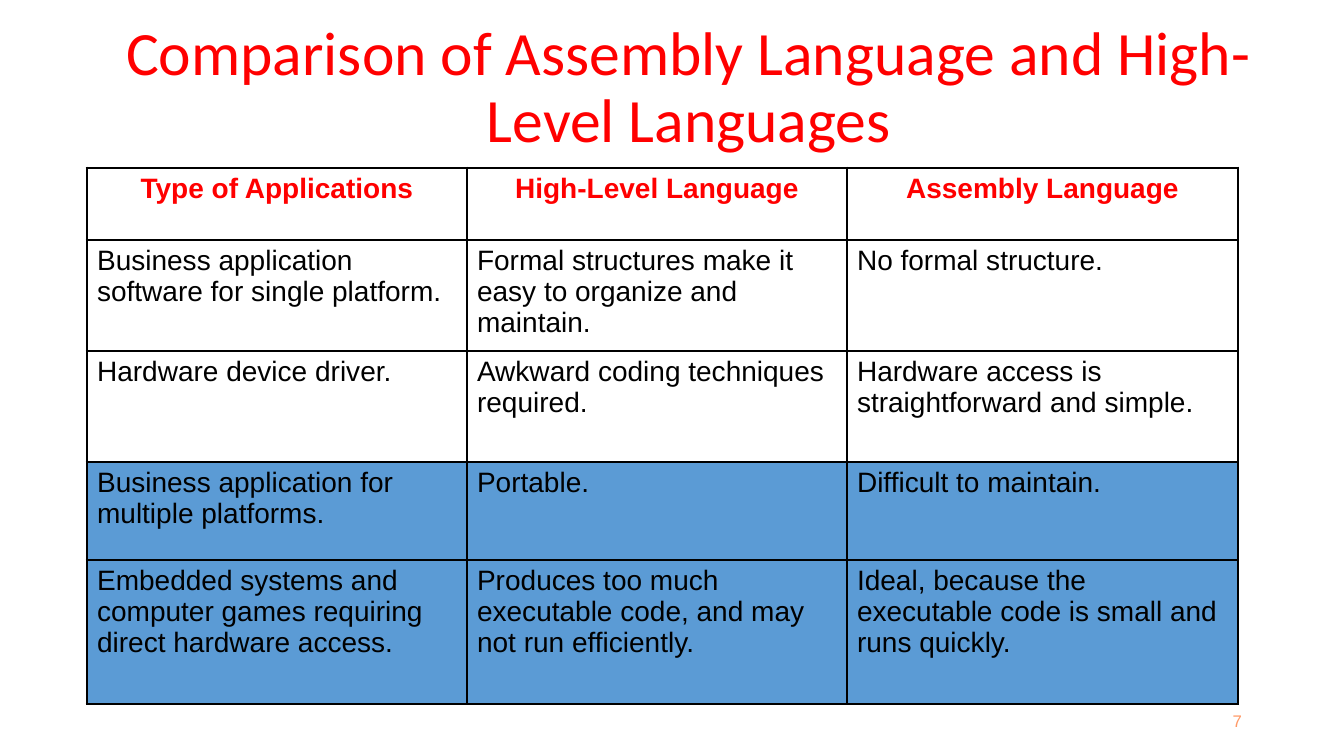
import pptx
import pptx.util
import pptx.dml.color
import pptx.enum.text
import lxml.etree

TITLE = "Comparison of Assembly Language and High-Level Languages"
PAGE_NUMBER = "7"
ROWS = [
    ("Type of Applications", "High-Level Language", "Assembly Language"),
    ("Business application software for single platform.",
     "Formal structures make it easy to organize and maintain.",
     "No formal structure."),
    ("Hardware device driver.",
     "Awkward coding techniques required.",
     "Hardware access is straightforward and simple."),
    ("Business application for multiple platforms.",
     "Portable.",
     "Difficult to maintain."),
    ("Embedded systems and computer games requiring direct hardware access.",
     "Produces too much executable code, and may not run efficiently.",
     "Ideal, because the executable code is small and runs quickly."),
]
COLORS = {"red": "FF0000", "black": "000000", "blue": "5B9BD5", "orange": "FF9966"}

# Lengths in px
SLIDE_SIZE = (1344, 756)
TITLE_BOX = (68, 36, 1242, 106)
NUMBER_BOX = (950, 701, 302, 40)
TABLE_ORIGIN = (87, 168)
COLUMN_WIDTHS = (380, 380, 391)
ROW_HEIGHTS = (72, 111, 111, 98, 144)
FIRST_BLUE_ROW = 3
OUTER_LINE, INNER_LINE = 2.25, 1

ALIGN = pptx.enum.text.PP_ALIGN
ANCHOR = pptx.enum.text.MSO_ANCHOR


def px(length):
    return pptx.util.Emu(round(length * 914400 / 100.8))


def rgb(name):
    return pptx.dml.color.RGBColor.from_string(COLORS[name])


def write(frame, text, size, color="black", font="Arial", bold=False,
          align=ALIGN.LEFT, spacing=None):
    frame.word_wrap = True
    paragraph = frame.paragraphs[0]
    paragraph.alignment = align
    paragraph.line_spacing = spacing
    run = paragraph.add_run()
    run.text = text
    run.font.size = pptx.util.Pt(size)
    run.font.name = font
    run.font.bold = bold
    run.font.color.rgb = rgb(color)


def add_borders(cell, widths):
    """Draw the cell's borders; widths are points for left, right, top, bottom."""
    properties = cell._tc.get_or_add_tcPr()
    namespace = pptx.oxml.ns.qn
    for side, width in zip("LRTB", widths):
        line = lxml.etree.SubElement(properties, namespace("a:ln" + side),
                                     w=str(pptx.util.Pt(width)))
        fill = lxml.etree.SubElement(line, namespace("a:solidFill"))
        lxml.etree.SubElement(fill, namespace("a:srgbClr"), val=COLORS["black"])


def add_title(slide):
    title = slide.shapes.title
    title.left, title.top, title.width, title.height = map(px, TITLE_BOX)
    title.text_frame.auto_size = pptx.enum.text.MSO_AUTO_SIZE.NONE
    title.text_frame.vertical_anchor = ANCHOR.MIDDLE
    write(title.text_frame, TITLE, 44, color="red", font="Calibri",
          align=ALIGN.CENTER, spacing=0.9)


def add_comparison_table(slide):
    last_row, last_column = len(ROWS) - 1, len(COLUMN_WIDTHS) - 1
    table = slide.shapes.add_table(
        len(ROWS), len(COLUMN_WIDTHS), *map(px, TABLE_ORIGIN),
        px(sum(COLUMN_WIDTHS)), px(sum(ROW_HEIGHTS))).table
    table.first_row = table.horz_banding = False
    for column, width in zip(table.columns, COLUMN_WIDTHS):
        column.width = px(width)
    for row, height in zip(table.rows, ROW_HEIGHTS):
        row.height = px(height)

    for r, texts in enumerate(ROWS):
        header = r == 0
        for c, text in enumerate(texts):
            cell = table.cell(r, c)
            write(cell.text_frame, text, 20, color="red" if header else "black",
                  bold=header, align=ALIGN.CENTER if header else ALIGN.LEFT)
            on_edge = (c == 0, c == last_column, r == 0, r == last_row)
            add_borders(cell, [OUTER_LINE if edge else INNER_LINE for edge in on_edge])
            if r >= FIRST_BLUE_ROW:
                cell.fill.solid()
                cell.fill.fore_color.rgb = rgb("blue")
            else:
                cell.fill.background()


def add_page_number(slide):
    frame = slide.shapes.add_textbox(*map(px, NUMBER_BOX)).text_frame
    frame.vertical_anchor = ANCHOR.MIDDLE
    write(frame, PAGE_NUMBER, 12, color="orange", align=ALIGN.RIGHT)


def main():
    presentation = pptx.Presentation()
    presentation.slide_width, presentation.slide_height = map(px, SLIDE_SIZE)
    slide = presentation.slides.add_slide(presentation.slide_layouts[5])
    add_title(slide)
    add_comparison_table(slide)
    add_page_number(slide)
    presentation.save("out.pptx")


if __name__ == "__main__":
    main()
